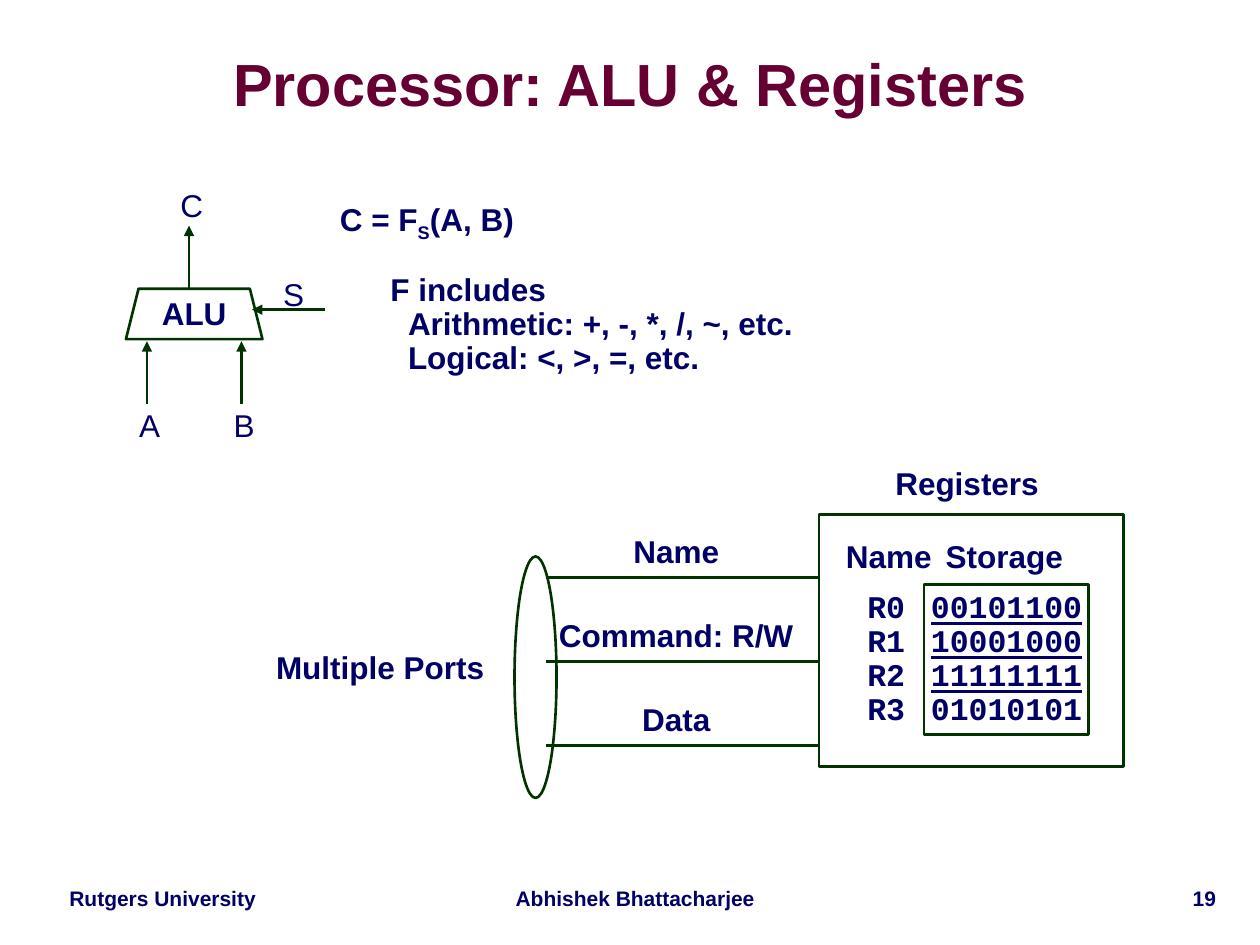
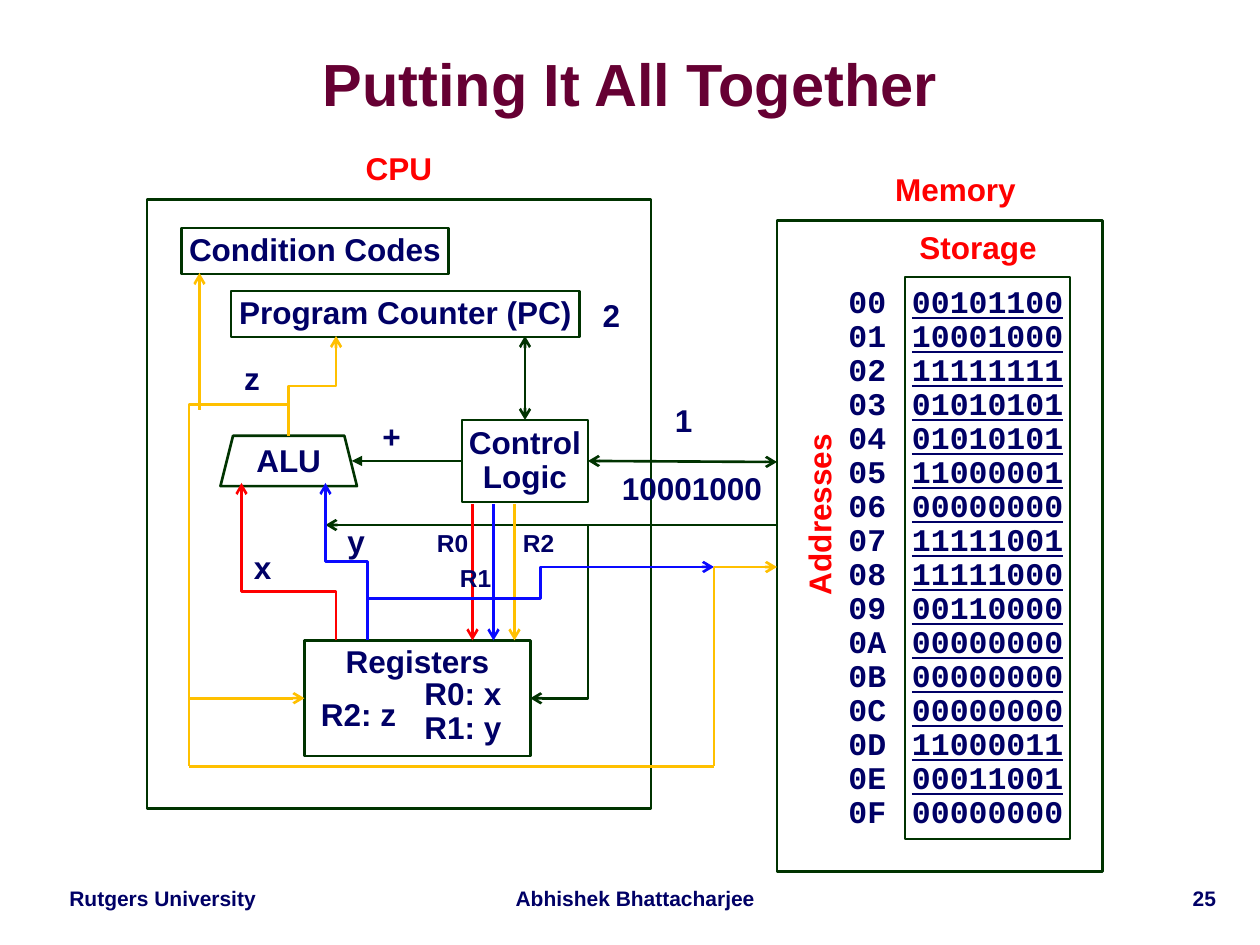
"""Build two slides on processor structure, laid out on a grid of 120 columns by 90 rows."""
from lxml.etree import SubElement
from pptx import Presentation
from pptx.dml.color import RGBColor
from pptx.enum.shapes import MSO_CONNECTOR, MSO_SHAPE
from pptx.enum.text import MSO_ANCHOR, MSO_AUTO_SIZE, PP_ALIGN
from pptx.oxml.ns import qn
from pptx.util import Inches, Pt

COLUMNS, ROWS = 120, 90
WIDTH, HEIGHT = Inches(10), Inches(7.5)
NAVY, MAROON, GREEN = "000066", "660033", "003300"
RED, BLUE, GOLD, WHITE = "FF0000", "0A0AFF", "FFC000", "FFFFFF"
SANS, MONO = "Arial", "Courier New"
LINE_HEIGHT = 4.4
ALU_SIZE = (13, 4.8)


def color(hex_string):
    """Turn a hex string into a colour."""
    return RGBColor.from_string(hex_string)


def across(columns):
    """Convert grid columns to a length."""
    return round(WIDTH * columns / COLUMNS)


def down(rows):
    """Convert grid rows to a length."""
    return round(HEIGHT * rows / ROWS)


def frame(left, top, width, height):
    """Convert a grid rectangle to lengths."""
    return across(left), down(top), across(width), down(height)


def style(paragraph, size=18, ink=NAVY, bold=True, name=SANS, align=PP_ALIGN.CENTER, spacing=0.9):
    """Format a whole paragraph."""
    paragraph.alignment, paragraph.line_spacing = align, spacing
    font = paragraph.font
    font.name, font.size, font.bold = name, Pt(size), bold
    font.color.rgb = color(ink)


def write(text_frame, text, **format_options):
    """Fill a text frame with one paragraph for each line of text."""
    text_frame.text = text
    for paragraph in text_frame.paragraphs:
        style(paragraph, **format_options)


def label(slide, text, left, top, width, height=LINE_HEIGHT, rotation=0, **format_options):
    """Add a text box and return it."""
    box = slide.shapes.add_textbox(*frame(left, top, width, height))
    box.text_frame.word_wrap = False
    box.rotation = rotation
    write(box.text_frame, text, **format_options)
    return box


def outline(slide, kind, area, text="", line=GREEN, fill=None, weight=1.5, **format_options):
    """Add an outlined shape with centred text and return it."""
    shape = slide.shapes.add_shape(kind, *frame(*area))
    shape.shadow.inherit = False
    shape.line.color.rgb, shape.line.width = color(line), Pt(weight)
    if fill:
        shape.fill.solid()
        shape.fill.fore_color.rgb = color(fill)
    else:
        shape.fill.background()
    if text:
        text_frame = shape.text_frame
        text_frame.margin_left = text_frame.margin_right = Inches(0.05)
        text_frame.margin_top = text_frame.margin_bottom = Inches(0.05)
        text_frame.vertical_anchor = MSO_ANCHOR.MIDDLE
        text_frame.word_wrap = False
        write(text_frame, text, **format_options)
    return shape


def box(slide, area, text="", **options):
    """Add an outlined rectangle."""
    return outline(slide, MSO_SHAPE.RECTANGLE, area, text, **options)


def alu(slide, left, top):
    """Add the trapezoid of the arithmetic unit."""
    return outline(slide, MSO_SHAPE.TRAPEZOID, (left, top, *ALU_SIZE), "ALU")


def finish_line(connector, ink, head, tail):
    """Set the stroke and arrowheads of a connector and drop its shadow."""
    connector.line.color.rgb, connector.line.width = color(ink), Pt(1.5)
    properties = connector._element.spPr
    stroke = properties.find(qn("a:ln"))
    for tag, arrow in (("a:headEnd", head), ("a:tailEnd", tail)):
        if arrow:
            SubElement(stroke, qn(tag), type=arrow)
    SubElement(properties, qn("a:effectLst"))


def line(slide, start, end, ink=GREEN, head=None, tail=None):
    """Add a straight line and return it."""
    connector = slide.shapes.add_connector(
        MSO_CONNECTOR.STRAIGHT, across(start[0]), down(start[1]), across(end[0]), down(end[1]))
    finish_line(connector, ink, head, tail)
    return connector


def elbow(slide, start, end, bends=(), ink=GREEN, vertical=True):
    """Add an arrow that turns at the given rows and columns, in order of travel."""
    (x1, y1), (x2, y2) = start, end
    run, rise = across(x2 - x1), down(y2 - y1)
    length, breadth = (abs(rise), abs(run)) if vertical else (abs(run), abs(rise))
    left = across((x1 + x2) / 2) - length // 2
    top = down((y1 + y2) / 2) - breadth // 2
    connector = slide.shapes.add_connector(
        MSO_CONNECTOR.ELBOW, left, top, left + length, top + breadth)
    transform = connector._element.spPr.find(qn("a:xfrm"))
    if vertical:
        connector.rotation = 90 if rise > 0 else 270
        flipped = (run > 0) == (rise > 0)
    else:
        flipped = rise < 0
    if flipped:
        transform.set("flipV", "1")
    geometry = connector._element.spPr.find(qn("a:prstGeom"))
    geometry.set("prst", f"bentConnector{len(bends) + 2}")
    guides = geometry.find(qn("a:avLst"))
    axes = [(x1, x2), (y1, y2)]
    if vertical:
        axes.reverse()
    for number, (bend, (first, last)) in enumerate(zip(bends, axes), 1):
        share = round(100000 * (bend - first) / (last - first))
        SubElement(guides, qn("a:gd"), name=f"adj{number}", fmla=f"val {share}")
    finish_line(connector, ink, None, "arrow")


def storage(slide, left, top, height, names, values):
    """Add a column of names beside a box of underlined binary values."""
    box(slide, (left, top, 4.8, height), "\n".join(names), line=WHITE, fill=WHITE,
        weight=2, name=MONO)
    cells = box(slide, (left + 6, top, 15.7, height), "\n".join(values), name=MONO)
    for paragraph in cells.text_frame.paragraphs[:-1]:
        paragraph.font.underline = True


def titled_slide(presentation, title, number):
    """Add a slide with its title and footers."""
    slide = presentation.slides.add_slide(presentation.slide_layouts[5])
    heading = slide.shapes.title
    heading.left, heading.top, heading.width, heading.height = frame(3.7, 3.25, 112.6, 10.2)
    text_frame = heading.text_frame
    text_frame.margin_left = text_frame.margin_right = 0
    text_frame.margin_top = text_frame.margin_bottom = 0
    text_frame.vertical_anchor = MSO_ANCHOR.MIDDLE
    text_frame.auto_size = MSO_AUTO_SIZE.NONE
    write(text_frame, title, size=34, ink=MAROON, spacing=0.87)
    footers = (
        ("Rutgers University", 4, 23, PP_ALIGN.CENTER),
        ("Abhishek Bhattacharjee", 47, 27, PP_ALIGN.CENTER),
        (str(number), 98, 19, PP_ALIGN.RIGHT),
    )
    for text, left, width, align in footers:
        label(slide, text, left, 84, width, 3.4, size=12, align=align)
    return slide


def alu_diagram(slide):
    """Draw the arithmetic unit with its inputs, output and function."""
    alu(slide, 12, 27.5)
    for tip, origin in (((14, 32.5), (14, 38.5)), ((23, 32.5), (23, 38.5)),
                        ((18, 21.5), (18, 27.5)), ((24, 29.5), (31, 29.5))):
        line(slide, tip, origin, head="triangle")
    for text, left, top in (("A", 12, 38.5), ("B", 21, 38.5), ("C", 16, 17.5), ("S", 25.7, 26)):
        label(slide, text, left, top, 4.5, bold=False)
    formula = label(slide, "C = F", 31, 18.5, 19.3).text_frame.paragraphs[0]
    subscript = formula.add_run()
    subscript.text = "S"
    subscript._r.get_or_add_rPr().set("baseline", "-25000")
    formula.add_run().text = "(A, B)"
    functions = label(slide, "F includes\nArithmetic: +, -, *, /, ~, etc.\nLogical: <, >, =, etc.",
                      36, 25.5, 41, 11, align=PP_ALIGN.LEFT)
    for paragraph in functions.text_frame.paragraphs[1:]:
        paragraph._p.get_or_add_pPr().set("marL", str(Inches(0.14)))


def register_diagram(slide):
    """Draw the register file and its ports."""
    storage(slide, 82, 55.65, 14.3, [f"R{index}" for index in range(4)],
            ["00101100", "10001000", "11111111", "01010101"])
    label(slide, "Name", 79.3, 51, 10.7)
    label(slide, "Storage", 88.8, 51, 13.7)
    box(slide, (78, 49, 29, 24))
    label(slide, "Registers", 84, 44, 16.2)
    ports = (("Name", 10.7), ("Command: R/W", 25), ("Data", 9))
    for index, (text, width) in enumerate(ports):
        row = 55 + 8 * index
        label(slide, text, 64.4 - width / 2, row - 4.5, width)
        line(slide, (52, row), (78, row))
    outline(slide, MSO_SHAPE.OVAL, (49, 53, 4, 23))
    label(slide, "Multiple Ports", 25, 61.5, 22.4)


def cpu_diagram(slide):
    """Draw the parts of the processor and return its control logic."""
    box(slide, (14, 19, 48, 58))
    label(slide, "CPU", 33.6, 14, 8.8, ink=RED)
    box(slide, (17.3, 21.7, 25.4, LINE_HEIGHT), "Condition Codes")
    box(slide, (22, 27.7, 33.2, LINE_HEIGHT), "Program Counter (PC)")
    alu(slide, 21, 41.5)
    registers = box(slide, (29, 61, 21.5, 11), "Registers")
    registers.text_frame.vertical_anchor = MSO_ANCHOR.TOP
    return box(slide, (44, 40, 12, 7.8), "Control\nLogic")


def memory_diagram(slide):
    """Draw the memory with its addresses and contents."""
    values = ["00101100", "10001000", "11111111", "01010101",
              "01010101", "11000001", "00000000", "11111001",
              "11111000", "00110000", "00000000", "00000000",
              "00000000", "11000011", "00011001", "00000000"]
    storage(slide, 80.2, 26.4, 53.5, [f"{address:02X}" for address in range(16)], values)
    label(slide, "Memory", 84, 16, 14, ink=RED)
    label(slide, "Addresses", 69.3, 46.8, 17.8, rotation=270, ink=RED)
    label(slide, "Storage", 86.3, 21.5, 13.7, ink=RED)
    box(slide, (74, 21, 31, 62))


def data_paths(slide, control):
    """Draw the arrows between the parts."""
    line(slide, (33.5, 43.9), (44, 43.9), head="triangle").end_connect(control, 1)
    line(slide, (50, 40), (50, 32), head="arrow", tail="arrow").begin_connect(control, 0)
    line(slide, (56, 44), (74, 44), head="arrow", tail="arrow").begin_connect(control, 3)
    line(slide, (74, 50), (31, 50), tail="arrow")
    for column, ink in ((45, RED), (47, BLUE), (49, GOLD)):
        line(slide, (column, 48), (column, 61), ink, tail="arrow")
    elbow(slide, (32, 61), (23, 46), [56.3], RED)
    elbow(slide, (35, 61), (31, 46), [53.5], BLUE)
    elbow(slide, (27.5, 41.5), (29, 66.5), [38.5, 18], GOLD)
    elbow(slide, (27.5, 41.5), (32, 32), [36.75], GOLD)
    elbow(slide, (56, 50), (50.5, 66.5))
    elbow(slide, (35, 57), (68, 54), [51.5], BLUE, vertical=False)
    line(slide, (18, 66), (18, 73), GOLD)
    line(slide, (18, 73), (68, 73), GOLD)
    line(slide, (68, 73), (68, 54), GOLD)
    line(slide, (68, 54), (74, 54), GOLD, tail="arrow")
    line(slide, (19, 39), (19, 26), GOLD, tail="arrow")


def signal_labels(slide):
    """Label the values that travel along the arrows."""
    signals = (("2", 56.2, 28, 4), ("1", 63.1, 38, 4), ("10001000", 58, 44.5, 15.8),
               ("+", 35.2, 39.5, 4.2), ("x", 23, 52, 4), ("y", 31.9, 49.5, 4),
               ("z", 22, 34, 4), ("R2: z", 29.3, 66, 9.7))
    for text, left, top, width in signals:
        label(slide, text, left, top, width)
    label(slide, "R0: x\nR1: y", 39.2, 64, 9.8, 7.8)
    for text, left, top in (("R0", 40.4, 50), ("R1", 42.6, 53.3), ("R2", 48.6, 50)):
        label(slide, text, left, top, 5.4, 3.7, size=14)


def main():
    """Build and save the presentation."""
    presentation = Presentation()
    presentation.slide_width, presentation.slide_height = WIDTH, HEIGHT
    processor = titled_slide(presentation, "Processor: ALU & Registers", 19)
    alu_diagram(processor)
    register_diagram(processor)
    together = titled_slide(presentation, "Putting It All Together", 25)
    control = cpu_diagram(together)
    memory_diagram(together)
    data_paths(together, control)
    signal_labels(together)
    presentation.save("out.pptx")


if __name__ == "__main__":
    main()
